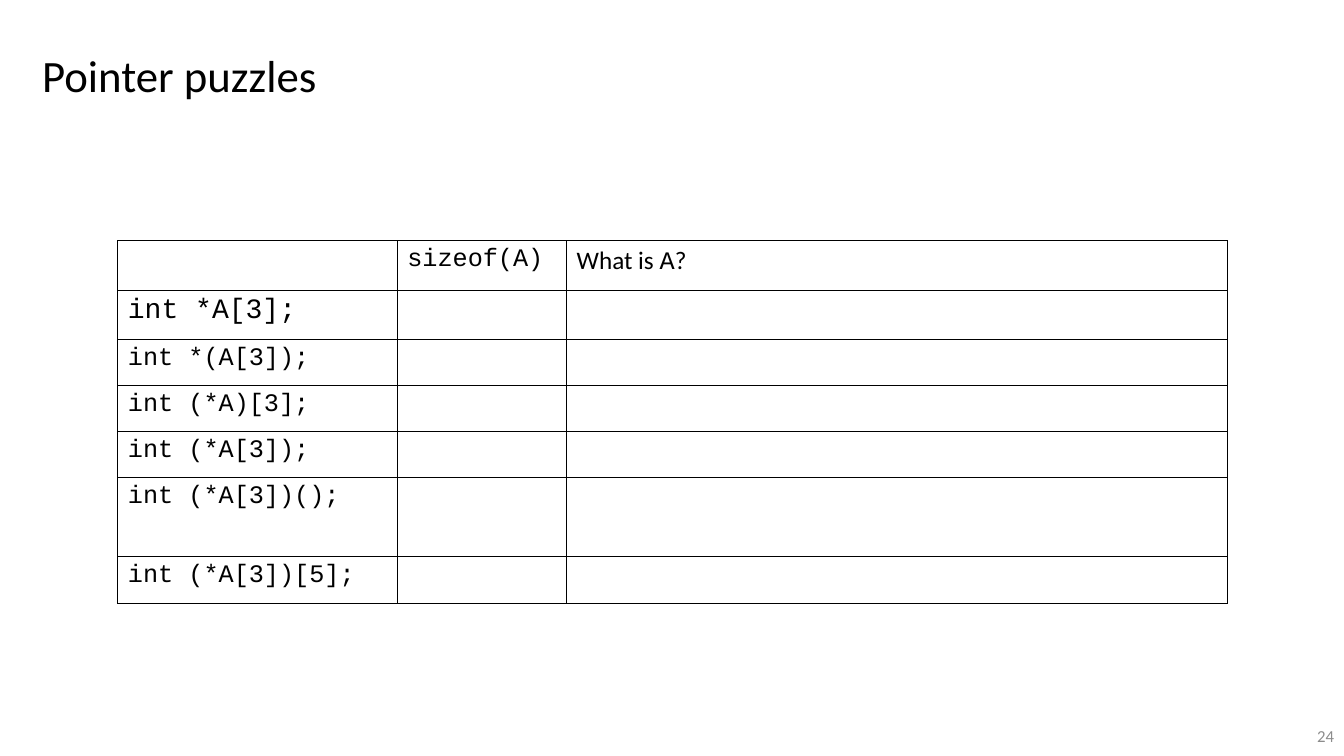
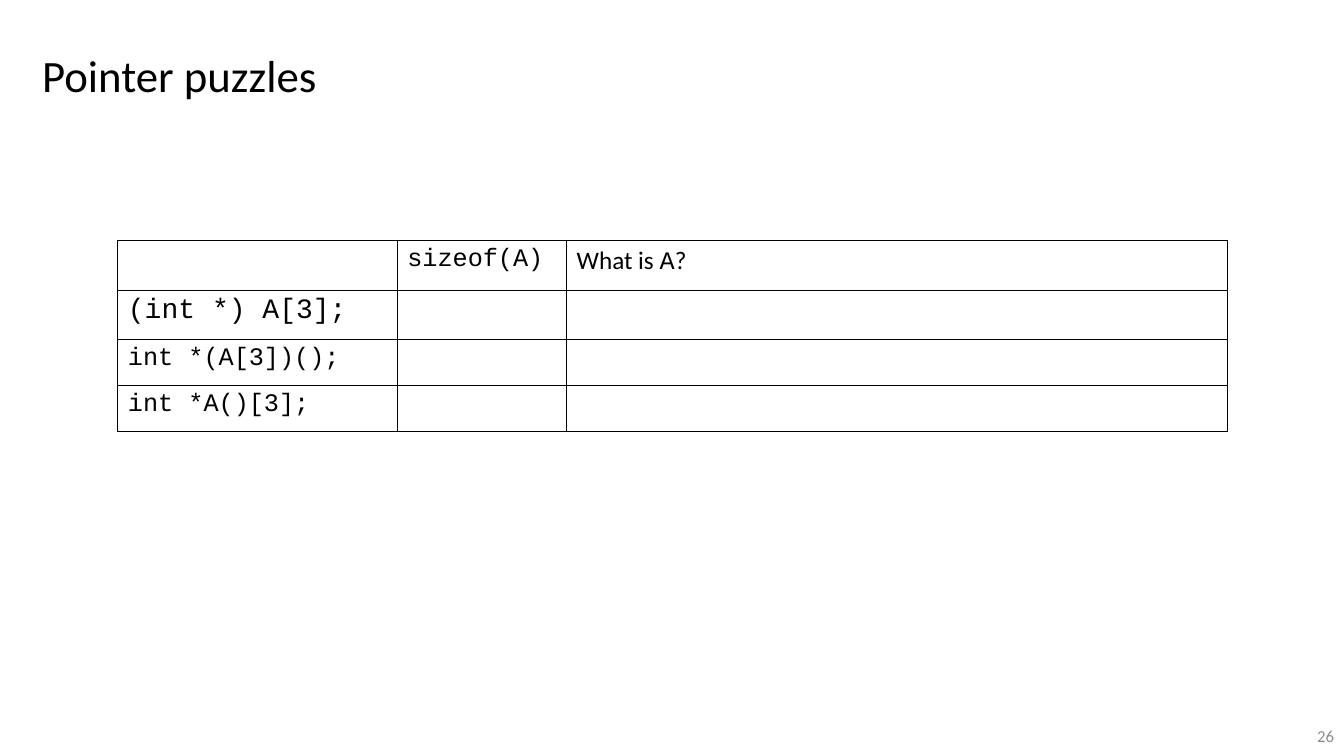
from lxml import etree
from pptx import Presentation
from pptx.dml.color import RGBColor
from pptx.enum.text import MSO_ANCHOR, MSO_AUTO_SIZE, PP_ALIGN
from pptx.oxml.ns import qn
from pptx.util import Cm, Pt

BLACK = RGBColor(0x00, 0x00, 0x00)
GREY = RGBColor(0x8C, 0x8C, 0x8C)
SANS = "Calibri"
MONO = "Courier New"
RIGHT = PP_ALIGN.RIGHT
MIDDLE = MSO_ANCHOR.MIDDLE
GROW = MSO_AUTO_SIZE.SHAPE_TO_FIT_TEXT

BLANK_LAYOUT = 6
COLUMN_WIDTHS = (7.04, 4.27, 16.66)
HEADER_HEIGHT = 1.24

# Each declaration: text, font size, row height in cm
PUZZLES = {
    24: [
        ("int *A[3];", 20, 1.24),
        ("int *(A[3]);", 18, 1.16),
        ("int (*A)[3];", 18, 1.16),
        ("int (*A[3]);", 18, 1.16),
        ("int (*A[3])();", 18, 2),
        ("int (*A[3])[5];", 18, 1.18),
    ],
    26: [
        ("(int *) A[3];", 20, 1.24),
        ("int *(A[3])();", 18, 1.16),
        ("int *A()[3];", 18, 1.16),
    ],
}


class PuzzleDeck:
    def __init__(self):
        self.deck = Presentation()
        self.deck.slide_width = Cm(33.87)
        self.deck.slide_height = Cm(19.05)
        self.page = None

    def add_page(self, title, number):
        layout = self.deck.slide_layouts[BLANK_LAYOUT]
        self.page = self.deck.slides.add_slide(layout)

        number_frame = self.add_text(str(number), 26.25, 18.03, 7.62, 1.02, 12, GREY)
        number_frame.vertical_anchor = MIDDLE
        number_frame.paragraphs[0].alignment = RIGHT

        title_frame = self.add_text(title, 0.81, 1.07, 18.92, 1.63, 32, BLACK)
        title_frame.auto_size = GROW

    def add_text(self, text, left, top, width, height, size, color):
        box = self.page.shapes.add_textbox(Cm(left), Cm(top), Cm(width), Cm(height))
        frame = box.text_frame
        frame.word_wrap = True
        para = frame.paragraphs[0]
        para.text = text
        self.style(para.font, SANS, size, color)
        return frame

    def add_puzzle_table(self, puzzles):
        heights = [HEADER_HEIGHT] + [height for _, _, height in puzzles]
        table = self.page.shapes.add_table(
            len(heights), len(COLUMN_WIDTHS), Cm(2.97), Cm(6.07),
            Cm(sum(COLUMN_WIDTHS)), Cm(sum(heights))).table
        table.first_row = False
        table.horz_banding = False
        for column, width in zip(table.columns, COLUMN_WIDTHS):
            column.width = Cm(width)
        for row, height in zip(table.rows, heights):
            row.height = Cm(height)
        for cell in table.iter_cells():
            self.add_borders(cell)
            cell.fill.background()

        self.fill_cell(table.cell(0, 1), [("sizeof(A)", MONO)])
        self.fill_cell(table.cell(0, 2), [("What is ", SANS), ("A", MONO), ("?", SANS)])
        for index, (declaration, size, _) in enumerate(puzzles, start=1):
            self.fill_cell(table.cell(index, 0), [(declaration, MONO)], size)

    def fill_cell(self, cell, spans, size=18):
        """Write (text, font name) spans into a table cell."""
        para = cell.text_frame.paragraphs[0]
        for text, font_name in spans:
            span = para.add_run()
            span.text = text
            self.style(span.font, font_name, size, BLACK)

    @staticmethod
    def add_borders(cell):
        properties = cell._tc.get_or_add_tcPr()
        for side in ("a:lnL", "a:lnR", "a:lnT", "a:lnB"):
            line = etree.SubElement(properties, qn(side), w=str(Pt(1)))
            fill = etree.SubElement(line, qn("a:solidFill"))
            etree.SubElement(fill, qn("a:srgbClr"), val=str(BLACK))

    @staticmethod
    def style(font, name, size, color):
        font.name = name
        font.size = Pt(size)
        font.color.rgb = color


def main():
    puzzle_deck = PuzzleDeck()
    for number, puzzles in PUZZLES.items():
        puzzle_deck.add_page("Pointer puzzles", number)
        puzzle_deck.add_puzzle_table(puzzles)
    puzzle_deck.deck.save("out.pptx")


if __name__ == "__main__":
    main()
